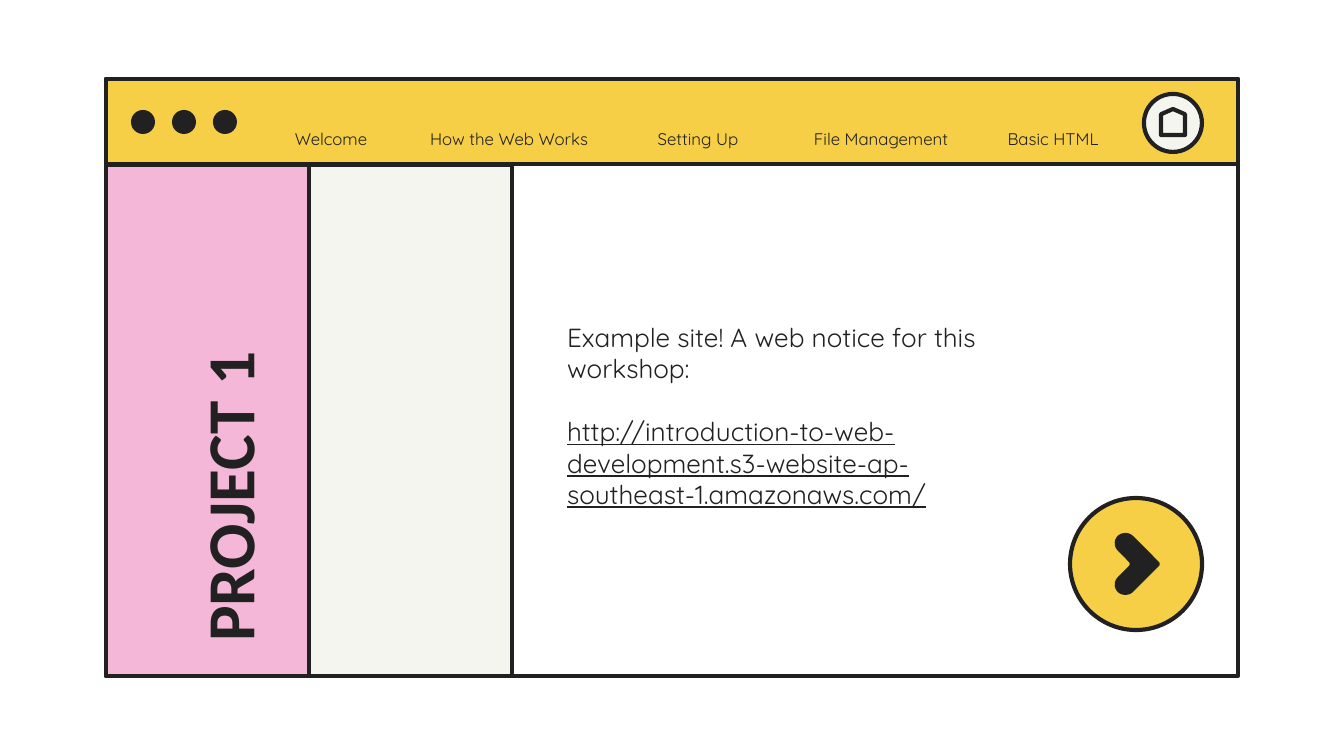
from pptx import Presentation
from pptx.dml.color import RGBColor
from pptx.enum.shapes import MSO_SHAPE
from pptx.enum.text import MSO_ANCHOR, MSO_AUTO_SIZE, PP_ALIGN
from pptx.util import Emu, Pt

RECT, OVAL = MSO_SHAPE.RECTANGLE, MSO_SHAPE.OVAL
HOUSE = MSO_SHAPE.FLOWCHART_OFFPAGE_CONNECTOR
TOP, MIDDLE = MSO_ANCHOR.TOP, MSO_ANCHOR.MIDDLE
NO_FIT = MSO_AUTO_SIZE.NONE
LEFT, CENTER = PP_ALIGN.LEFT, PP_ALIGN.CENTER

INK, WHITE, YELLOW, PINK, CREAM = "212121", "FFFFFF", "F7CF46", "F4B7D8", "F5F5F0"

TITLE = "PROJECT 1"
INTRO = "Example site! A web notice for this workshop:"
ADDRESS = "http://introduction-to-web-development.s3-website-ap-southeast-1.amazonaws.com/"
NAV = [  # label, left, width
    ("Welcome", 231, 200),
    ("How the Web Works", 403, 212),
    ("Setting Up", 587, 222),
    ("File Management", 781, 200),
    ("Basic HTML", 953, 200),
]

FRAME_X, FRAME_Y, FRAME_W, FRAME_H = 106, 79, 1132, 597
BAR_H = 85
PANEL_Y, PANEL_W = 165, 203
DOT, DOT_STEP = 24, 41

# Chevron outline: two numbers make a line, six make a Bézier curve
CHEVRON_START = (1125, 533)
CHEVRON = [
    (1116, 533, 1111, 544, 1118, 551), (1129, 562),
    (1130, 563, 1130, 565, 1129, 566), (1118, 577),
    (1111, 584, 1116, 595, 1125, 595),
    (1128, 595, 1131, 594, 1133, 592), (1159, 566),
    (1160, 565, 1160, 563, 1159, 562), (1133, 536),
    (1131, 534, 1128, 533, 1125, 533),
]
CURVE_STEPS = 8


def px(n):
    return Emu(round(n * 914400 / 134.4))


def rgb(color):
    return RGBColor.from_string(color)


def paint(sp, fill, line):
    sp.shadow.inherit = False
    if fill:
        sp.fill.solid()
        sp.fill.fore_color.rgb = rgb(fill)
    else:
        sp.fill.background()
    if line:
        sp.line.color.rgb = rgb(line)
        sp.line.width = Pt(2.25)
    else:
        sp.line.fill.background()


def shape(kind, x, y, w, h, fill, line=INK):
    sp = slide.shapes.add_shape(kind, px(x), px(y), px(w), px(h))
    paint(sp, fill, line)
    return sp


def place(sp, x, y, w, h):
    sp.left, sp.top, sp.width, sp.height = px(x), px(y), px(w), px(h)


def write(sp, lines, size, font="Quicksand", bold=False, align=LEFT,
          anchor=TOP, top=13, bottom=13):
    tf = sp.text_frame
    tf.text = "\n".join(lines)
    tf.word_wrap = True
    tf.auto_size = NO_FIT
    tf.vertical_anchor = anchor
    tf.margin_left = tf.margin_right = px(13)
    tf.margin_top, tf.margin_bottom = px(top), px(bottom)
    for p in tf.paragraphs:
        p.alignment = align
        p.space_before = Pt(0)
        p.font.name, p.font.size, p.font.bold = font, Pt(size), bold
        p.font.color.rgb = rgb(INK)
    return tf.paragraphs


def outline(start, segments):
    """Points along the segments, with each curve sampled in equal steps."""
    points = [start]
    for seg in segments:
        if len(seg) == 2:
            points.append(seg)
            continue
        a, b, c, d = points[-1], seg[:2], seg[2:4], seg[4:]
        for i in range(1, CURVE_STEPS + 1):
            t = i / CURVE_STEPS
            u = 1 - t
            points.append(tuple(
                u**3 * a[k] + 3 * u * u * t * b[k] + 3 * u * t * t * c[k] + t**3 * d[k]
                for k in (0, 1)))
    return [(px(x), px(y)) for x, y in points]


prs = Presentation()
prs.slide_width, prs.slide_height = px(1344), px(756)
slide = prs.slides.add_slide(prs.slide_layouts[0])
title, body = slide.placeholders

# Browser window
shape(RECT, FRAME_X, FRAME_Y, FRAME_W, FRAME_H, WHITE)
shape(RECT, FRAME_X, FRAME_Y, FRAME_W, BAR_H, YELLOW)
for i in range(3):
    shape(OVAL, 131 + i * DOT_STEP, 110, DOT, DOT, INK, None)
for i, color in enumerate((PINK, CREAM)):
    shape(RECT, FRAME_X + i * PANEL_W, PANEL_Y, PANEL_W,
          FRAME_Y + FRAME_H - PANEL_Y, color)

# Title and text, brought in front of the panels
for sp in (title, body):
    slide.shapes._spTree.append(sp._element)
place(title, -9, 362, 473, 113)
title.rotation = 270
write(title, [TITLE], 36, "Calibri", bold=True, anchor=MIDDLE)
place(body, 554, 308, 473, 220)
intro, address = write(body, [INTRO, ADDRESS], 14)
address.space_before = Pt(17)
address.font.underline = True

# Next button
shape(OVAL, 1070, 498, 132, 132, YELLOW)
points = outline(CHEVRON_START, CHEVRON)
builder = slide.shapes.build_freeform(*points[0], scale=1.0)
builder.add_line_segments(points[1:], close=True)
paint(builder.convert_to_shape(), INK, None)

# Home button
shape(OVAL, 1144, 94, 58, 58, CREAM)
shape(HOUSE, 1161, 109, 24, 26, None).rotation = 180

# Navigation
for label, x, w in NAV:
    box = slide.shapes.add_textbox(px(x), px(110), px(w), px(30))
    (p,) = write(box, [label], 9, align=CENTER, anchor=MIDDLE, top=27, bottom=0)
    p.space_after = Pt(16)

prs.save("out.pptx")
